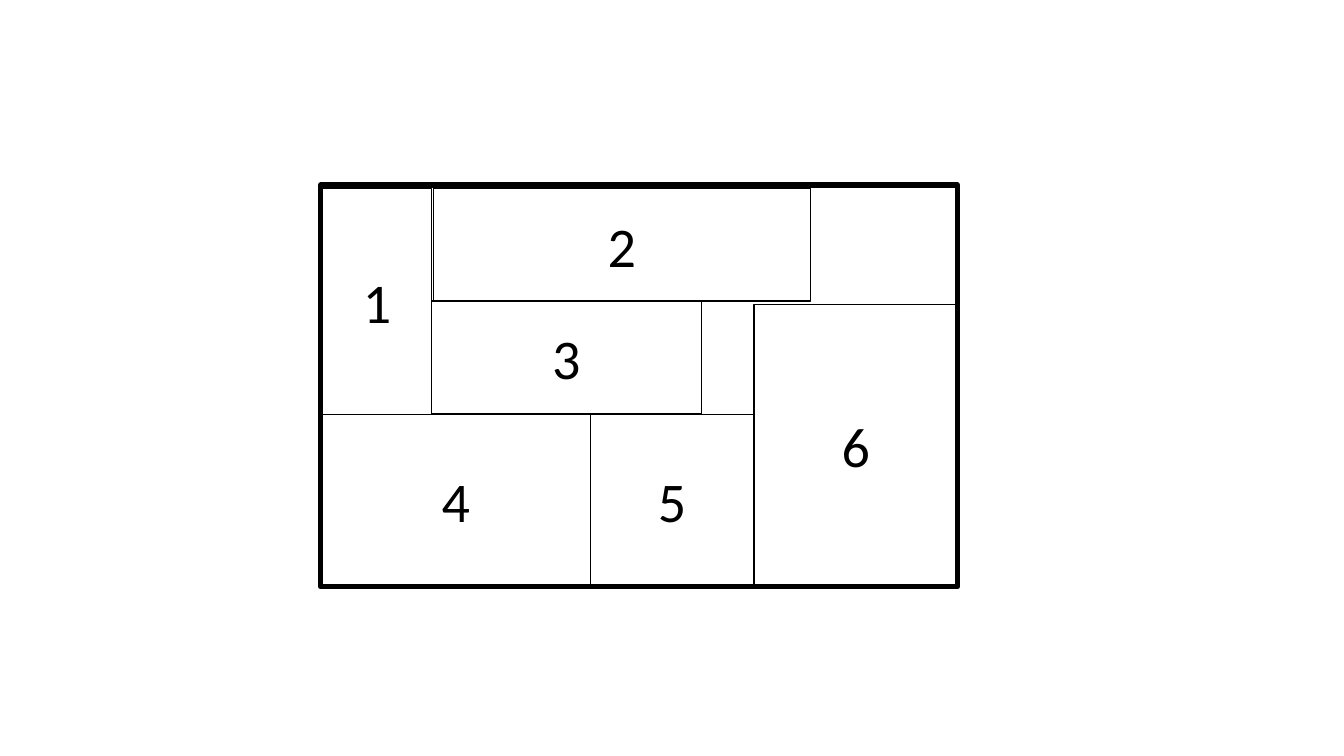
import pptx
import pptx.util
import pptx.dml.color
import pptx.enum.shapes
import pptx.enum.text

Cm, Pt = pptx.util.Cm, pptx.util.Pt

COLORS = {"ink": "000000"}
LABEL_FORMAT = {"size": Pt(40), "name": "Calibri"}

# left, top, width, height in cm
FRAME = (8.08, 4.67, 16.05, 10.11)
# label, then left, top, width, height in cm, from back to front
ROOMS = [
    ("1", (8.13, 4.75, 2.74, 5.69)),
    ("4", (8.08, 10.44, 6.81, 4.34)),
    ("5", (14.88, 10.44, 4.11, 4.34)),
    ("6", (19, 7.67, 5.13, 7.09)),
    ("3", (10.87, 7.59, 6.81, 2.84)),
    ("2", (10.92, 4.75, 9.5, 2.84)),
]


def add_outline(slide, box, line_width):
    """Add an unfilled rectangle with an ink border."""
    outline = slide.shapes.add_shape(
        pptx.enum.shapes.MSO_SHAPE.RECTANGLE, *(Cm(length) for length in box))
    outline.shadow.inherit = False
    outline.fill.background()
    outline.line.color.rgb = pptx.dml.color.RGBColor.from_string(COLORS["ink"])
    outline.line.width = Pt(line_width)
    return outline


def add_label(room, label):
    room.text_frame.vertical_anchor = pptx.enum.text.MSO_ANCHOR.MIDDLE
    paragraph = room.text_frame.paragraphs[0]
    paragraph.alignment = pptx.enum.text.PP_ALIGN.CENTER
    run = paragraph.add_run()
    run.text = label
    for attribute, value in LABEL_FORMAT.items():
        setattr(run.font, attribute, value)
    run.font.color.rgb = pptx.dml.color.RGBColor.from_string(COLORS["ink"])


def main():
    deck = pptx.Presentation()
    deck.slide_width, deck.slide_height = Cm(33.87), Cm(19.05)
    slide = deck.slides.add_slide(deck.slide_layouts[6])
    add_outline(slide, FRAME, 4)
    for label, box in ROOMS:
        add_label(add_outline(slide, box, 1), label)
    deck.save("out.pptx")


if __name__ == "__main__":
    main()
